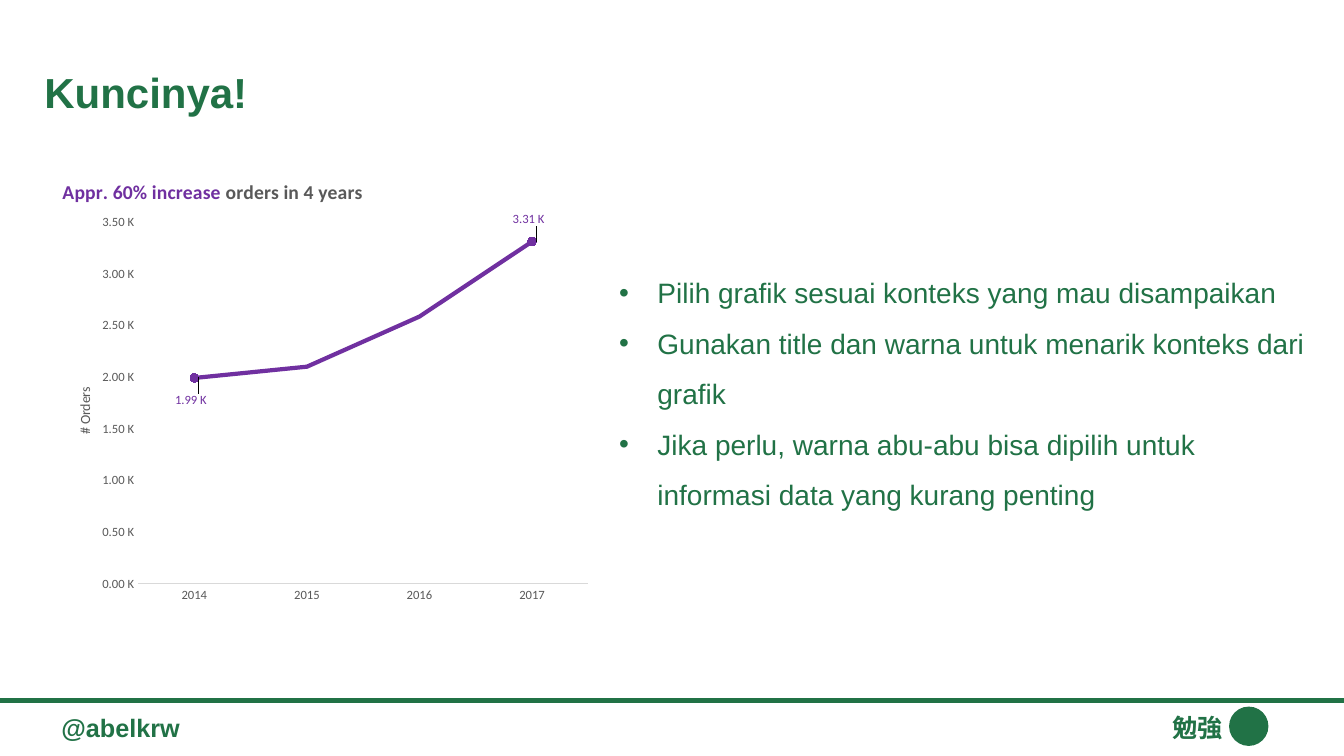
import lxml.etree
import pptx
import pptx.chart.data
import pptx.dml.color
import pptx.enum.chart
import pptx.enum.shapes
import pptx.enum.text
import pptx.oxml.ns
import pptx.util

Inches, Pt = pptx.util.Inches, pptx.util.Pt
RGBColor = pptx.dml.color.RGBColor
qn = pptx.oxml.ns.qn

GREEN = RGBColor(0x21, 0x72, 0x46)
PURPLE = RGBColor(0x70, 0x30, 0xA0)
GREY = RGBColor(0x59, 0x59, 0x59)
LIGHT_GREY = RGBColor(0xD9, 0xD9, 0xD9)
ORDER_FORMAT = '#0.00,\\ "K"'


def add_run(p, text, size, color, bold=False, font="Arial"):
    r = p.add_run()
    r.text = text
    r.font.name = font
    r.font.size = Pt(size)
    r.font.bold = bold
    r.font.color.rgb = color


def set_layout(element, index, **values):
    """Insert a manual chart layout as the child at the given index."""
    for old in element.findall(qn("c:layout")):
        element.remove(old)
    layout = lxml.etree.Element(qn("c:layout"))
    manual = lxml.etree.SubElement(layout, qn("c:manualLayout"))
    for name, value in values.items():
        lxml.etree.SubElement(manual, qn("c:" + name)).set("val", str(value))
    element.insert(index, layout)


prs = pptx.Presentation()
prs.slide_width = Inches(13.33)
prs.slide_height = Inches(7.5)
s = prs.slides.add_slide(prs.slide_layouts[1])

# Title
title = s.shapes.title
title.left, title.top = Inches(0.34), Inches(0.61)
title.width, title.height = Inches(2.24), Inches(0.61)
title.text_frame.auto_size = pptx.enum.text.MSO_AUTO_SIZE.NONE
p = title.text_frame.paragraphs[0]
p.alignment = pptx.enum.text.PP_ALIGN.LEFT
add_run(p, "Kuncinya!", 30, GREEN, bold=True)

# Key points
body = s.placeholders[1]
body.left, body.top = Inches(6.04), Inches(2.52)
body.width, body.height = Inches(7.12), Inches(2.56)
tf = body.text_frame
tf.auto_size = pptx.enum.text.MSO_AUTO_SIZE.NONE
key_points = [
    "Pilih grafik sesuai konteks yang mau disampaikan",
    "Gunakan title dan warna untuk menarik konteks dari grafik",
    "Jika perlu, warna abu-abu bisa dipilih untuk informasi data yang kurang penting",
]
for i, text in enumerate(key_points):
    p = tf.add_paragraph() if i else tf.paragraphs[0]
    p.line_spacing = 1.5
    p.space_before = Pt(0)
    pPr = p._p.get_or_add_pPr()
    pPr.set("marL", str(Inches(0.38)))
    pPr.set("indent", str(-Inches(0.38)))
    add_run(p, text, 20, GREEN)

# Orders chart
data = pptx.chart.data.CategoryChartData(number_format=ORDER_FORMAT)
data.categories = ["2014", "2015", "2016", "2017"]
data.add_series("Orders", [1993, 2102, 2587, 3312])
chart = s.shapes.add_chart(
    pptx.enum.chart.XL_CHART_TYPE.LINE_MARKERS,
    Inches(0.48), Inches(1.56), Inches(5.46), Inches(4.51), data,
).chart
chart.has_legend = False
chart.font.name = "Calibri"
chart.font.size = Pt(10)
chart.plots[0].vary_by_categories = False
set_layout(chart._chartSpace.chart.plotArea, 0, layoutTarget="inner",
           xMode="edge", yMode="edge", x=0.163, y=0.143, w=0.818, h=0.796)

chart.has_title = True
p = chart.chart_title.text_frame.paragraphs[0]
add_run(p, "Appr. 60% increase", 14, PURPLE, bold=True, font="Calibri")
add_run(p, " orders in 4 years", 14, GREY, bold=True, font="Calibri")
set_layout(chart.chart_title._element, 1, xMode="edge", yMode="edge", x=0.02, y=0.04)

years, orders = chart.category_axis, chart.value_axis
for axis in (years, orders):
    axis.has_major_gridlines = False
    axis.major_tick_mark = pptx.enum.chart.XL_TICK_MARK.NONE
    axis.minor_tick_mark = pptx.enum.chart.XL_TICK_MARK.NONE
    axis.tick_labels.font.name = "Calibri"
    axis.tick_labels.font.size = Pt(9)
    axis.tick_labels.font.color.rgb = GREY
years.format.line.color.rgb = LIGHT_GREY
years.format.line.width = Pt(0.75)
orders.format.line.fill.background()
orders.minimum_scale, orders.maximum_scale, orders.major_unit = 0, 3500, 500
orders.tick_labels.number_format = ORDER_FORMAT
orders.tick_labels.number_format_is_linked = False
orders.has_title = True
add_run(orders.axis_title.text_frame.paragraphs[0], "# Orders", 10, GREY, font="Calibri")
axis_title = orders.axis_title._element
bodyPr = axis_title.find(".//" + qn("a:bodyPr"))
bodyPr.set("rot", "-5400000")
bodyPr.set("vert", "horz")
set_layout(axis_title, 1, xMode="edge", yMode="edge", x=0.045, y=0.5)

series = chart.plots[0].series[0]
series.smooth = False
series.format.line.color.rgb = PURPLE
series.format.line.width = Pt(3)
series.marker.style = pptx.enum.chart.XL_MARKER_STYLE.NONE

# Mark and label the first and last year, below and above the line
for index in (0, 3):
    point = series.points[index]
    point.format.line.color.rgb = PURPLE
    point.format.line.width = Pt(3)
    point.marker.style = pptx.enum.chart.XL_MARKER_STYLE.CIRCLE
    point.marker.size = 6
    point.marker.format.fill.solid()
    point.marker.format.fill.fore_color.rgb = PURPLE
    point.marker.format.line.color.rgb = PURPLE
    label = point.data_label
    label.font.name = "Calibri"
    label.font.size = Pt(9)
    label.font.color.rgb = PURPLE
    label.position = pptx.enum.chart.XL_LABEL_POSITION.RIGHT
series.data_labels.show_value = False
dLbls = series.data_labels._element
for dLbl, shift in zip(dLbls.findall(qn("c:dLbl")), (0.05, -0.05)):
    set_layout(dLbl, 1, x=-0.05, y=shift)

# Footer
rule = s.shapes.add_connector(
    pptx.enum.shapes.MSO_CONNECTOR.STRAIGHT, 0, Inches(6.95), prs.slide_width, Inches(6.95))
rule.line.color.rgb = GREEN
rule.line.width = Pt(3)
lxml.etree.SubElement(rule._element.spPr, qn("a:effectLst"))

for text, left, width in (("@abelkrw", 0.51, 1.39), ("勉強", 11.53, 0.78)):
    box = s.shapes.add_textbox(Inches(left), Inches(7.02), Inches(width), Inches(0.4))
    box.text_frame.word_wrap = False
    add_run(box.text_frame.paragraphs[0], text, 18, GREEN, bold=True)

dot = s.shapes.add_shape(
    pptx.enum.shapes.MSO_SHAPE.OVAL, Inches(12.19), Inches(7.01), Inches(0.39), Inches(0.39))
dot.shadow.inherit = False
dot.fill.solid()
dot.fill.fore_color.rgb = GREEN
dot.line.fill.background()

prs.save("out.pptx")
